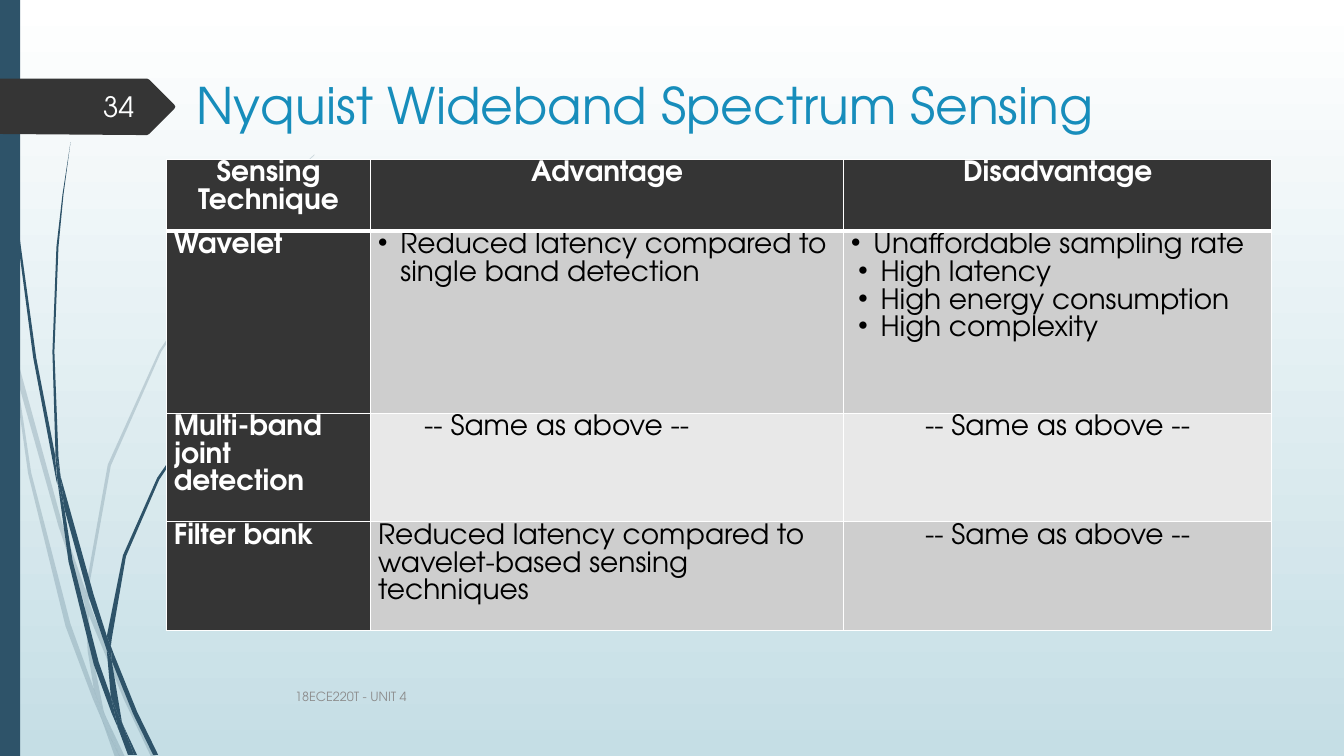
from dataclasses import dataclass

from lxml.etree import SubElement
from pptx import Presentation
from pptx.dml.color import RGBColor
from pptx.enum.shapes import MSO_SHAPE as Preset
from pptx.enum.text import MSO_ANCHOR as Anchor, PP_ALIGN as Align
from pptx.oxml.ns import qn
from pptx.util import Cm, Pt

GRID = Cm(2.54) // 100  # unit of the outline points


@dataclass(frozen=True)
class Theme:
    font: str = "TeX Gyre Adventor"
    sky_top: str = "FFFFFF"
    sky_bottom: str = "C5DEE5"
    band: str = "2E5369"
    dark: str = "353535"
    title: str = "178DBB"
    light: str = "FFFFFF"
    number: str = "FEFFFF"
    footer: str = "8C8C8C"
    ink: str = "000000"
    stripes: tuple = ("CECECE", "E8E8E8")
    title_size: int = 36
    body_size: int = 20
    footer_size: int = 9


# Wisp outlines: the pale group and the solid group
PALE_WISPS = [
    [(11, 350), (9, 322), (0, 282), (0, 299), (10, 344)],
    [(58, 522), (84, 599), (85, 586), (62, 520), (14, 345), (17, 376)],
    [(92, 607), (88, 596), (88, 610), (123, 694), (150, 751), (155, 751), (127, 692)],
    [(119, 751), (124, 751), (105, 711)],
    [(93, 683), (70, 619), (31, 469), (17, 376), (11, 350), (28, 470), (65, 621),
     (92, 693), (101, 714), (99, 707)],
    [(84, 599), (87, 646), (93, 683), (96, 692), (105, 711), (103, 706), (91, 646),
     (88, 610), (88, 608)],
    [(88, 584), (110, 462), (160, 349), (229, 245), (268, 198), (290, 175), (312, 154),
     (312, 153), (289, 175), (268, 197), (228, 244), (158, 348), (107, 461), (85, 584),
     (85, 586), (88, 596)],
    [(101, 714), (114, 751), (119, 751)],
    [(88, 608), (88, 610), (88, 596), (85, 586), (84, 599)],
    [(96, 692), (93, 683), (99, 707), (101, 714), (119, 751), (105, 711)],
]
SOLID_WISPS = [
    [(7, 110), (17, 233), (33, 355), (56, 477), (57, 481), (55, 457), (55, 453),
     (36, 355), (19, 232), (8, 109), (5, 48), (4, 0), (3, 0), (4, 48)],
    [(88, 592), (106, 645), (106, 633), (106, 631), (93, 590), (60, 472), (64, 505)],
    [(113, 649), (110, 641), (111, 656), (132, 708), (152, 749), (157, 749), (136, 706)],
    [(110, 691), (98, 657), (72, 556), (64, 505), (57, 477), (68, 557), (93, 659),
     (111, 708), (117, 722), (116, 717)],
    [(60, 472), (58, 453), (54, 349), (58, 245), (63, 193), (70, 141), (62, 193),
     (56, 245), (52, 349), (55, 449)],
    [(133, 749), (136, 749), (122, 719)],
    [(57, 477), (64, 505), (60, 472), (55, 449), (55, 453)],
    [(111, 633), (125, 552), (158, 476), (205, 406), (231, 374), (245, 359), (261, 344),
     (260, 344), (245, 358), (231, 373), (204, 405), (156, 474), (122, 551), (106, 631),
     (110, 641)],
    [(117, 722), (127, 749), (131, 749)],
    [(106, 645), (110, 691), (116, 706), (122, 719), (121, 716), (111, 656), (109, 651)],
    [(106, 645), (109, 651), (111, 656), (110, 641), (106, 631), (106, 633)],
    [(116, 706), (110, 691), (116, 717), (117, 722), (130, 749), (133, 749), (122, 719)],
]
NUMBER_TAG = [(173, 108), (148, 133), (146, 134), (136, 134), (0, 133), (0, 78),
              (146, 78), (148, 79), (173, 104), (174, 106)]


@dataclass
class Entry:
    """One paragraph of a table cell; lengths in centimetres."""
    text: str
    align: Align = Align.LEFT
    left: float = 0
    hanging: float = 0
    after: int = 8


def bullet(text, left=0.0, after=0):
    return Entry(text, left=left + 0.56, hanging=0.56, after=after)


SAME = "-- Same as above --"
ROWS = [
    [[Entry(name, Align.CENTER)] for name in ("Sensing Technique", "Advantage", "Disadvantage")],
    [[Entry("Wavelet")],
     [bullet("Reduced latency compared to single band detection", after=8)],
     [bullet("Unaffordable sampling rate")]
     + [bullet(f"High {cost}", 0.18) for cost in ("latency", "energy consumption", "complexity")]],
    [[Entry("Multi-band joint detection")], [Entry(SAME, left=1.16)], [Entry(SAME, Align.CENTER)]],
    [[Entry("Filter bank")],
     [Entry("Reduced latency compared to wavelet-based sensing techniques")],
     [Entry(SAME, Align.CENTER)]],
]


class SlideBuilder:
    def __init__(self, slide, theme):
        self.slide, self.theme = slide, theme

    def background(self):
        fill = self.slide.background.fill
        fill.gradient()
        fill.gradient_angle = 270
        for stop, color in zip(fill.gradient_stops, (self.theme.sky_top, self.theme.sky_bottom)):
            stop.color.rgb = RGBColor.from_string(color)

    def paint(self, shape, color, opacity=100):
        shape.shadow.inherit = False
        shape.fill.solid()
        shape.fill.fore_color.rgb = RGBColor.from_string(color)
        shape.line.fill.background()
        if opacity < 100:
            color_element = shape.element.spPr.find(".//" + qn("a:srgbClr"))
            SubElement(color_element, qn("a:alpha"), val=str(opacity * 1000))

    def outline(self, points, color, opacity=100, parent=None):
        shapes = parent or self.slide.shapes
        builder = shapes.build_freeform(*points[0], scale=GRID)
        builder.add_line_segments(points[1:], close=True)
        self.paint(builder.convert_to_shape(), color, opacity)

    def wisps(self, outlines, opacity):
        group = self.slide.shapes.add_group_shape()
        for points in outlines:
            self.outline(points, self.theme.band, opacity, group.shapes)

    def rectangle(self, left, top, width, height, color):
        box = (Cm(left), Cm(top), Cm(width), Cm(height))
        self.paint(self.slide.shapes.add_shape(Preset.RECTANGLE, *box), color)

    def run(self, paragraph, text, size, color, bold=False):
        run = paragraph.add_run()
        run.text = text
        font = run.font
        font.name, font.size, font.bold = self.theme.font, Pt(size), bold
        font.color.rgb = RGBColor.from_string(color)

    def title(self, text, left, top, width, height):
        shape = self.slide.shapes.title
        shape.left, shape.top, shape.width, shape.height = Cm(left), Cm(top), Cm(width), Cm(height)
        frame = shape.text_frame
        frame.word_wrap, frame.vertical_anchor = True, Anchor.TOP
        frame.paragraphs[0].alignment = Align.LEFT
        self.run(frame.paragraphs[0], text, self.theme.title_size, self.theme.title)

    def label(self, text, left, top, width, height, size, color, align=Align.LEFT):
        shape = self.slide.shapes.add_textbox(Cm(left), Cm(top), Cm(width), Cm(height))
        frame = shape.text_frame
        frame.word_wrap, frame.vertical_anchor = True, Anchor.MIDDLE
        frame.paragraphs[0].alignment = align
        self.run(frame.paragraphs[0], text, size, color)

    def borders(self, cell, row):
        properties = cell._tc.get_or_add_tcPr()
        thick = {0: "lnB", 1: "lnT"}.get(row)  # rule under the header
        for side in ("lnL", "lnR", "lnT", "lnB"):
            line = SubElement(properties, qn(f"a:{side}"), w=str(Pt(3 if side == thick else 1)))
            fill = SubElement(line, qn("a:solidFill"))
            SubElement(fill, qn("a:srgbClr"), val=self.theme.light)

    def entry(self, paragraph, entry, color, bold):
        properties = paragraph._p.get_or_add_pPr()
        properties.set("marL", str(Cm(entry.left)))
        properties.set("indent", str(-Cm(entry.hanging)))
        if entry.hanging:
            SubElement(properties, qn("a:buChar"), char="•")
        paragraph.alignment = entry.align
        paragraph.line_spacing, paragraph.space_after = 1.07, Pt(entry.after)
        self.run(paragraph, entry.text, self.theme.body_size, color, bold)

    def table(self, rows, left, top, widths, heights):
        box = (Cm(left), Cm(top), Cm(sum(widths)), Cm(sum(heights)))
        table = self.slide.shapes.add_table(len(rows), len(widths), *box).table
        for column, width in zip(table.columns, widths):
            column.width = Cm(width)
        for r, (row, height) in enumerate(zip(rows, heights)):
            table.rows[r].height = Cm(height)
            for c, entries in enumerate(row):
                cell, heading = table.cell(r, c), r == 0 or c == 0
                self.borders(cell, r)
                cell.fill.solid()
                fill = self.theme.dark if heading else self.theme.stripes[(r - 1) % 2]
                cell.fill.fore_color.rgb = RGBColor.from_string(fill)
                cell.margin_left = cell.margin_right = Cm(0.19)
                cell.margin_top = cell.margin_bottom = 0
                color = self.theme.light if heading else self.theme.ink
                frame = cell.text_frame
                for i, entry in enumerate(entries):
                    paragraph = frame.add_paragraph() if i else frame.paragraphs[0]
                    self.entry(paragraph, entry, color, heading)


def main():
    presentation = Presentation()
    presentation.slide_width, presentation.slide_height = Cm(33.87), Cm(19.05)
    theme = Theme()
    builder = SlideBuilder(presentation.slides.add_slide(presentation.slide_layouts[5]), theme)

    # Backdrop
    builder.background()
    builder.wisps(PALE_WISPS, 20)
    builder.wisps(SOLID_WISPS, 100)
    builder.rectangle(0, 0, 0.51, 19.05, theme.band)
    builder.outline(NUMBER_TAG, theme.dark)

    # Title and table
    builder.title("Nyquist Wideband Spectrum Sensing", 4.7, 1.75, 24.77, 1.9)
    builder.table(ROWS, 4.19, 4.01, (5.15, 11.92, 10.79), (1.81, 4.59, 2.74, 2.74))

    # Footer and slide number
    builder.label("18ECE220T - UNIT 4", 7.19, 17.04, 21.16, 1.02, theme.footer_size, theme.footer)
    builder.label("34", 1.47, 2.18, 2.16, 1.02, theme.body_size, theme.number, Align.RIGHT)
    presentation.save("out.pptx")


if __name__ == "__main__":
    main()
